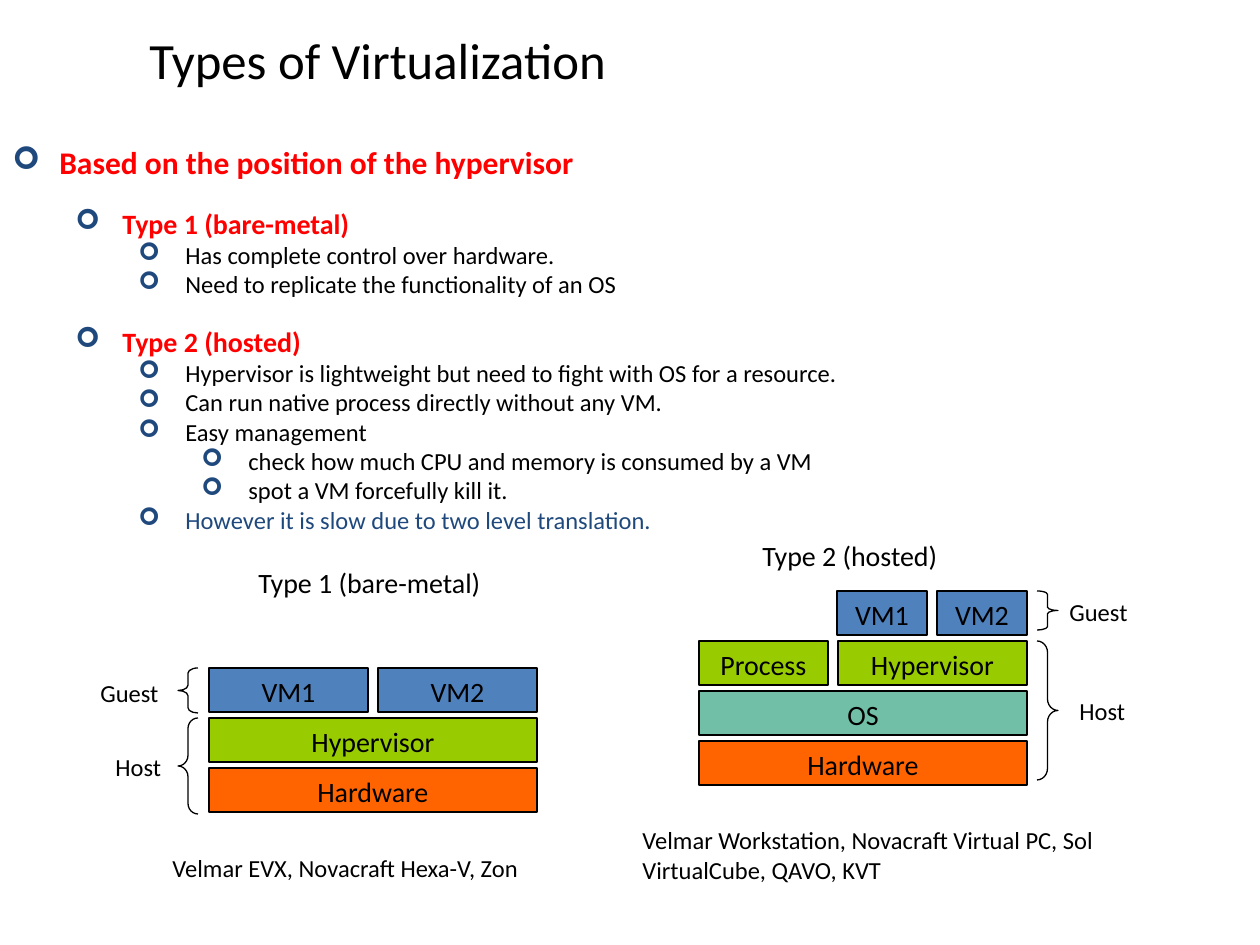
from lxml import etree
from pptx import Presentation
from pptx.dml.color import RGBColor
from pptx.enum.shapes import MSO_SHAPE
from pptx.enum.text import MSO_ANCHOR, PP_ALIGN
from pptx.oxml.ns import qn
from pptx.util import Emu, Pt

RECT = MSO_SHAPE.RECTANGLE
LEFT_BRACE, RIGHT_BRACE = MSO_SHAPE.LEFT_BRACE, MSO_SHAPE.RIGHT_BRACE
TOP, MIDDLE = MSO_ANCHOR.TOP, MSO_ANCHOR.MIDDLE
LEFT, CENTER, JUSTIFY = PP_ALIGN.LEFT, PP_ALIGN.CENTER, PP_ALIGN.JUSTIFY

BLACK = RGBColor(0x00, 0x00, 0x00)
RED = RGBColor(0xFF, 0x00, 0x00)
NAVY = RGBColor(0x1F, 0x49, 0x7D)
BLUE = RGBColor(0x4F, 0x81, 0xBD)
GREEN = RGBColor(0x99, 0xCC, 0x00)
TEAL = RGBColor(0x71, 0xBF, 0xA7)
ORANGE = RGBColor(0xFF, 0x64, 0x00)

FONT = "Calibri"
SCALE = 914400 / 126  # EMU in one px
WIDE, HIGH = 1260, 945
BAR, PITCH, GAP = 44, 50, 10  # bar height, row step, gap between bars
STEP, HANG = 63, 47  # indent per level, hanging indent of the bullet

# Level, text, colour
POINTS = [
    (0, "Based on the position of the hypervisor", RED),
    (1, "Type 1 (bare-metal)", RED),
    (2, "Has complete control over hardware.", BLACK),
    (2, "Need to replicate the functionality of an OS", BLACK),
    (1, "Type 2 (hosted)", RED),
    (2, "Hypervisor is lightweight but need to fight with OS for a resource.", BLACK),
    (2, "Can run native process directly without any VM.", BLACK),
    (2, "Easy management", BLACK),
    (3, "check how much CPU and memory is consumed by a VM", BLACK),
    (3, "spot a VM forcefully kill it.", BLACK),
    (2, "However it is slow due to two level translation.", NAVY),
]


def px(n):
    return Emu(round(n * SCALE))


def write(par, text, size=16, color=BLACK, bold=False, align=LEFT):
    par.alignment = align
    run = par.add_run()
    run.text = text
    font = run.font
    font.name, font.size, font.bold = FONT, Pt(size), bold
    font.color.rgb = color


def frame(slide, x, y, w, h, anchor=TOP):
    box = slide.shapes.add_textbox(px(x), px(y), px(w), px(h)).text_frame
    box.word_wrap = True
    box.vertical_anchor = anchor
    return box


def label(slide, text, x, y, w, h, anchor=TOP, **style):
    write(frame(slide, x, y, w, h, anchor).paragraphs[0], text, **style)


def shape(slide, kind, x, y, w, h, fill=None):
    item = slide.shapes.add_shape(kind, px(x), px(y), px(w), px(h))
    item.shadow.inherit = False
    if fill is None:
        item.fill.background()
    else:
        item.fill.solid()
        item.fill.fore_color.rgb = fill
    item.line.color.rgb = BLACK
    item.line.width = Pt(0.75)
    return item


def brace(slide, kind, x, y, w, h, curve):
    item = shape(slide, kind, x, y, w, h)
    item.adjustments[0] = curve


def bullet(par, level):
    props = par._p.get_or_add_pPr()
    props.set("marL", str(px(HANG + STEP * level)))
    props.set("indent", str(-px(HANG)))
    tint = etree.SubElement(props, qn("a:buClr"))
    etree.SubElement(tint, qn("a:srgbClr"), val=str(NAVY))
    etree.SubElement(props, qn("a:buFont"), typeface="Wingdings")
    etree.SubElement(props, qn("a:buChar"), char="➢")


def points(slide, x, y, w, h):
    box = frame(slide, x, y, w, h)
    for i, (level, text, color) in enumerate(POINTS):
        par = box.add_paragraph() if i else box.paragraphs[0]
        bullet(par, level)
        par.level = level
        par.space_before = Pt(14.5 if level == 1 else 0)
        write(par, text, size=(18, 16, 14, 14)[level], color=color,
              bold=level < 2, align=JUSTIFY)


def stack(slide, x, y, w, rows):
    """Rows of bars, each row flush with the right edge."""
    for i, row in enumerate(rows):
        left = x + w - sum(bar[2] for bar in row) - GAP * (len(row) - 1)
        for text, fill, width in row:
            bar = shape(slide, RECT, left, y + i * PITCH, width, BAR, fill)
            box = bar.text_frame
            box.word_wrap = True
            box.vertical_anchor = TOP
            write(box.paragraphs[0], text, align=CENTER)
            left += width + GAP


def bare(slide, x, y, w):
    """Type 1: the hypervisor sits on the hardware."""
    half = (w - GAP) // 2
    label(slide, "Type 1 (bare-metal)", x + 37, y - 109, 271, 43)
    stack(slide, x, y, w, [
        [("VM1", BLUE, half), ("VM2", BLUE, half)],
        [("Hypervisor", GREEN, w)],
        [("Hardware", ORANGE, w)],
    ])
    brace(slide, LEFT_BRACE, x - 31, y, 20, 45, 0.26)
    brace(slide, LEFT_BRACE, x - 31, y + PITCH, 20, 96, 0.53)
    label(slide, "Guest", x - 121, y + 4, 91, 39, size=14)
    label(slide, "Host", x - 106, y + 78, 76, 39, size=14)
    label(slide, "Velmar EVX, Novacraft Hexa-V, Zon", x - 49, y + 179, 447, 39, size=14)


def hosted(slide, x, y, w):
    """Type 2: the hypervisor runs on an OS."""
    label(slide, "Type 2 (hosted)", x + 51, y - 59, 222, 43)
    stack(slide, x, y, w, [
        [("VM1", BLUE, 90), ("VM2", BLUE, 90)],
        [("Process", GREEN, 129), ("Hypervisor", GREEN, 189)],
        [("OS", TEAL, w)],
        [("Hardware", ORANGE, w)],
    ])
    edge = x + w
    brace(slide, RIGHT_BRACE, edge + 10, y, 21, 39, 0.16)
    brace(slide, RIGHT_BRACE, edge + 10, y + PITCH, 21, 139, 0.55)
    label(slide, "Guest", edge + 30, y, 91, 39, size=14)
    label(slide, "Host", edge + 40, y + 99, 76, 39, size=14)
    label(slide, "Velmar Workstation, Novacraft Virtual PC, Sol VirtualCube, QAVO, KVT",
          x - 69, y + 228, 496, 66, size=14)


def main():
    deck = Presentation()
    deck.slide_width, deck.slide_height = px(WIDE), px(HIGH)
    slide = deck.slides.add_slide(deck.slide_layouts[6])
    label(slide, "Types of Virtualization", 137, -20, 1123, 158, MIDDLE, size=29)
    bare(slide, 209, 668, 328)
    hosted(slide, 699, 591, 328)
    points(slide, 0, 137, 1152, 178)
    deck.save("out.pptx")


if __name__ == "__main__":
    main()
